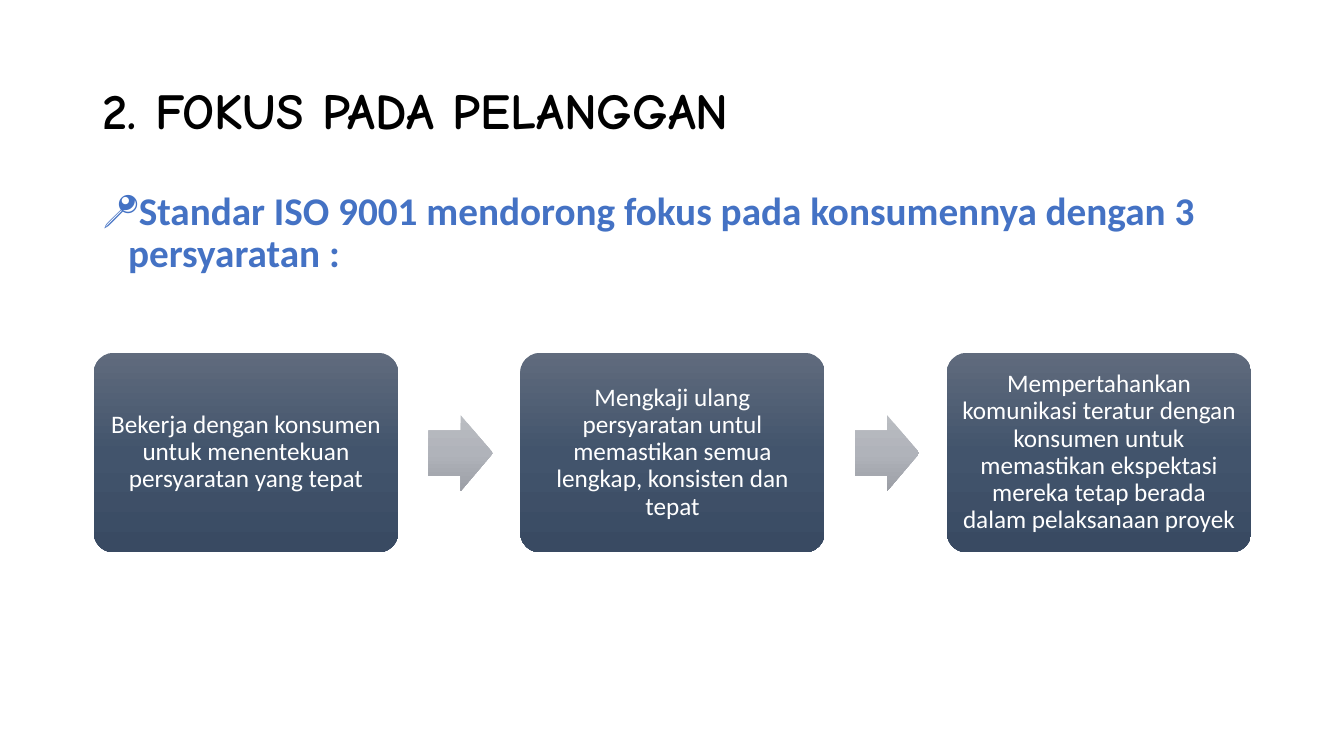
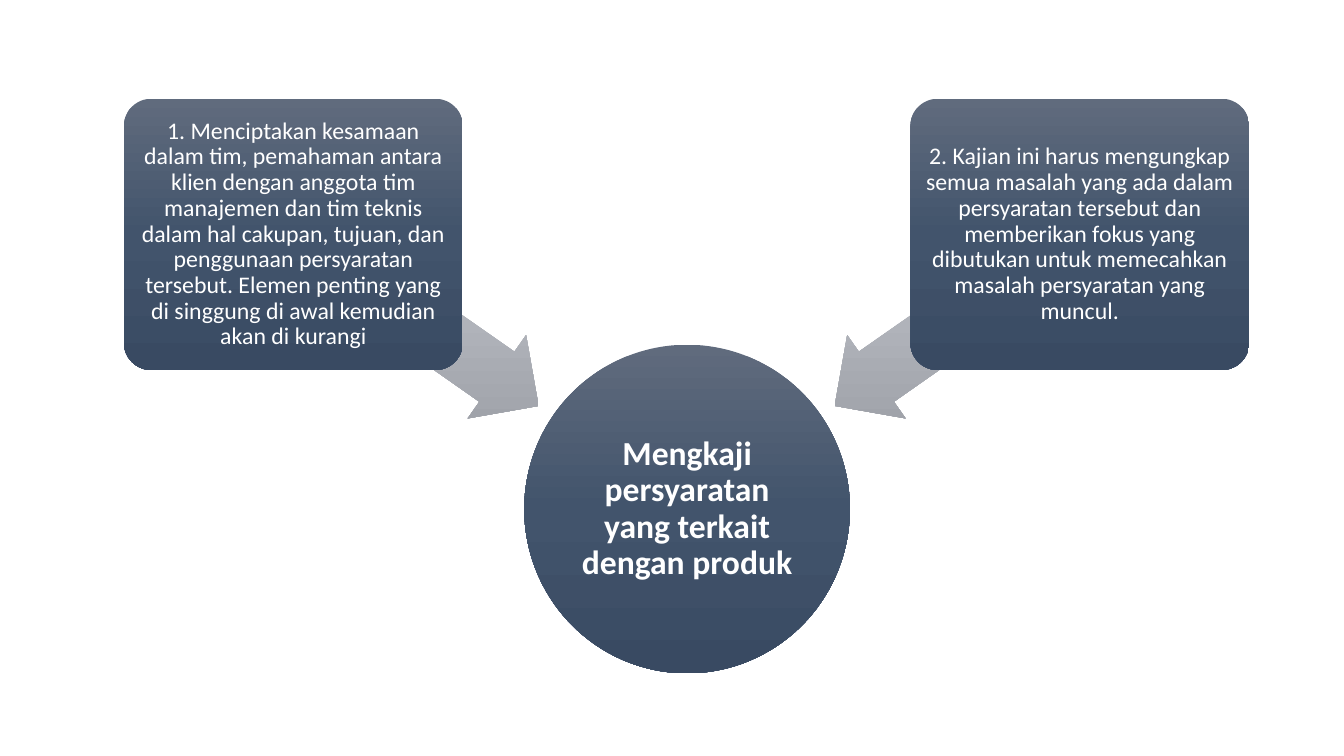
import pptx
import pptx.util
import pptx.dml.color
import pptx.enum.shapes
import pptx.enum.text
import pptx.oxml.ns
from lxml import etree

RGBColor = pptx.dml.color.RGBColor
SHAPE = pptx.enum.shapes.MSO_SHAPE
ALIGN = pptx.enum.text.PP_ALIGN
ANCHOR = pptx.enum.text.MSO_ANCHOR
qn = pptx.oxml.ns.qn

BLACK = RGBColor(0x00, 0x00, 0x00)
WHITE = RGBColor(0xFF, 0xFF, 0xFF)
BLUE = RGBColor(0x44, 0x72, 0xC4)
SLATE = (RGBColor(0x60, 0x6B, 0x7D), RGBColor(0x42, 0x54, 0x6C), RGBColor(0x39, 0x4A, 0x62))
GREY = (RGBColor(0xBA, 0xBD, 0xC2), RGBColor(0xB0, 0xB3, 0xBA), RGBColor(0x9C, 0x9F, 0xA6))
TITLE_FONT = "Comic Neue"
BODY_FONT = "Calibri"

TITLE = "2. FOKUS PADA PELANGGAN"
INTRO = "Standar ISO 9001 mendorong fokus pada konsumennya dengan 3 persyaratan :"
BULLET = "📍"
STEPS = [
    "Bekerja dengan konsumen untuk menentekuan persyaratan yang tepat",
    "Mengkaji ulang persyaratan untul memastikan semua lengkap, konsisten dan tepat",
    "Mempertahankan komunikasi teratur dengan konsumen untuk memastikan ekspektasi "
    "mereka tetap berada dalam pelaksanaan proyek",
]
GOAL = "Mengkaji persyaratan yang terkait dengan produk"
REASONS = [
    "1. Menciptakan kesamaan dalam tim, pemahaman antara klien dengan anggota tim "
    "manajemen dan tim teknis dalam hal cakupan, tujuan, dan penggunaan persyaratan "
    "tersebut. Elemen penting yang di singgung di awal kemudian akan di kurangi",
    "2. Kajian ini harus mengungkap semua masalah yang ada dalam persyaratan tersebut "
    "dan memberikan fokus yang dibutukan untuk memecahkan masalah persyaratan yang muncul.",
]

SLIDE_SIZE = (1333, 750)
TITLE_BOX = (92, 40, 1150, 145)
INTRO_BOX = (92, 185, 1150, 120)
STEP_BOX = (93, 350, 302, 198)
STEP_PITCH = 423
STEP_ARROW = (425, 412, 64, 75)
GOAL_BOX = (520, 342, 323, 326)
REASON_BOX = (123, 98, 336, 269)
REASON_ARROW = (264, 267, 297, 101)
REASON_ANGLE = 215
MIRROR_AXIS = 681


def px(length):
    return pptx.util.Emu(length * 9144)


def shifted(box, distance):
    return (box[0] + distance, *box[1:])


def mirrored(box):
    return (2 * MIRROR_AXIS - box[0] - box[2], *box[1:])


def write(shape, text, size, color, bold=False, font=BODY_FONT, align=ALIGN.LEFT):
    paragraph = shape.text_frame.paragraphs[0]
    paragraph.alignment = align
    paragraph.line_spacing = 0.9
    run = paragraph.add_run()
    run.text = text
    run.font.name = font
    run.font.size = pptx.util.Pt(size)
    run.font.bold = bold
    run.font.color.rgb = color
    return paragraph


def fill_gradient(shape, colors):
    shape.fill.gradient()
    gradient = shape.element.spPr.find(qn("a:gradFill"))
    for child in list(gradient):
        gradient.remove(child)
    gradient.set("rotWithShape", "0")
    stops = etree.SubElement(gradient, qn("a:gsLst"))
    for index, color in enumerate(colors):
        stop = etree.SubElement(stops, qn("a:gs"), pos=str(index * 50000))
        etree.SubElement(stop, qn("a:srgbClr"), val=str(color))
    etree.SubElement(gradient, qn("a:lin"), ang="5400000", scaled="0")


def add_figure(slide, kind, box, colors, adjustments=(), angle=0):
    shape = slide.shapes.add_shape(kind, *map(px, box))
    for index, value in enumerate(adjustments):
        shape.adjustments[index] = value
    shape.rotation = angle
    shape.shadow.inherit = False
    shape.line.fill.background()
    fill_gradient(shape, colors)
    return shape


def add_arrow(slide, kind, box, angle=0):
    add_figure(slide, kind, box, GREY, (0.6, 0.5), angle)


def add_label(slide, kind, box, text, size, margin, adjustments=(), bold=False):
    shape = add_figure(slide, kind, box, SLATE, adjustments)
    frame = shape.text_frame
    frame.word_wrap = True
    frame.vertical_anchor = ANCHOR.MIDDLE
    frame.margin_left = frame.margin_right = px(margin)
    frame.margin_top = frame.margin_bottom = px(margin)
    write(shape, text, size, WHITE, bold, align=ALIGN.CENTER)


def add_card(slide, box, text, size, margin):
    add_label(slide, SHAPE.ROUNDED_RECTANGLE, box, text, size, margin, (0.1,))


def place(placeholder, box):
    placeholder.left, placeholder.top, placeholder.width, placeholder.height = map(px, box)
    placeholder.text_frame.auto_size = pptx.enum.text.MSO_AUTO_SIZE.NONE


def build_focus_slide(presentation):
    slide = presentation.slides.add_slide(presentation.slide_layouts[1])
    title, intro = slide.placeholders
    place(title, TITLE_BOX)
    title.text_frame.vertical_anchor = ANCHOR.MIDDLE
    write(title, TITLE, 36, BLACK, True, TITLE_FONT)

    place(intro, INTRO_BOX)
    paragraph = write(intro, INTRO, 28, BLUE, True)
    paragraph.space_before = pptx.util.Pt(10)
    properties = paragraph._p.get_or_add_pPr()
    properties.set("marL", str(px(25)))
    properties.set("indent", str(px(-25)))
    etree.SubElement(properties, qn("a:buChar"), char=BULLET)

    for index, step in enumerate(STEPS):
        if index:
            add_arrow(slide, SHAPE.RIGHT_ARROW, shifted(STEP_ARROW, (index - 1) * STEP_PITCH))
        add_card(slide, shifted(STEP_BOX, index * STEP_PITCH), step, 18, 7)


def build_review_slide(presentation):
    slide = presentation.slides.add_slide(presentation.slide_layouts[6])
    add_label(slide, SHAPE.OVAL, GOAL_BOX, GOAL, 24, 2, bold=True)
    sides = [
        (REASON_BOX, REASON_ARROW, REASON_ANGLE),
        (mirrored(REASON_BOX), mirrored(REASON_ARROW), 540 - REASON_ANGLE),
    ]
    for reason, (card, arrow, angle) in zip(REASONS, sides):
        add_arrow(slide, SHAPE.LEFT_ARROW, arrow, angle)
        add_card(slide, card, reason, 17, 4)


def main():
    presentation = pptx.Presentation()
    presentation.slide_width, presentation.slide_height = map(px, SLIDE_SIZE)
    build_focus_slide(presentation)
    build_review_slide(presentation)
    presentation.save("out.pptx")


if __name__ == "__main__":
    main()
